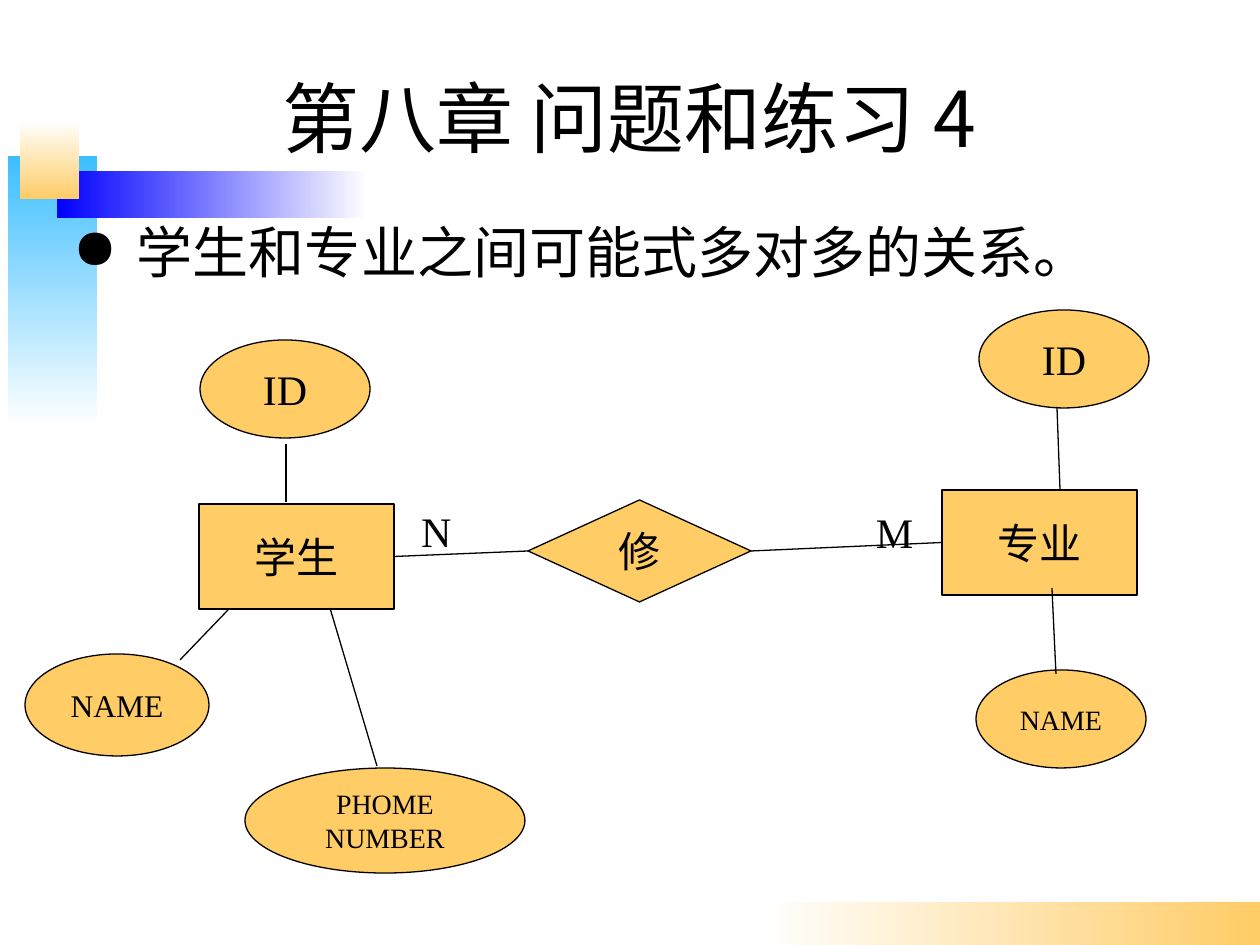
"""Build a slide with an entity-relationship diagram of students and majors."""
from lxml import etree
from pptx import Presentation
from pptx.dml.color import RGBColor
from pptx.enum.shapes import MSO_CONNECTOR, MSO_SHAPE
from pptx.enum.text import MSO_ANCHOR, PP_ALIGN
from pptx.oxml.ns import qn
from pptx.util import Emu, Pt

RECT, OVAL = MSO_SHAPE.RECTANGLE, MSO_SHAPE.OVAL
ENTITY, RELATION = MSO_SHAPE.FLOWCHART_PROCESS, MSO_SHAPE.FLOWCHART_DECISION
STRAIGHT = MSO_CONNECTOR.STRAIGHT
TOP, MIDDLE = MSO_ANCHOR.TOP, MSO_ANCHOR.MIDDLE
LEFT, CENTER = PP_ALIGN.LEFT, PP_ALIGN.CENTER

PX = 914400 / 126
COLORS = {"ink": "000000", "white": "FFFFFF", "gold": "FFCC66", "sky": "3DBEFF", "blue": "0000FF"}
SANS, SERIF = "Noto Sans CJK SC", "Times New Roman"
RIGHTWARD, DOWNWARD = 0, 270
LEFT_SIDE, RIGHT_SIDE = 1, 3

BANDS = [
    ((760, 902, 500, 44), "white", "gold", RIGHTWARD),
    ((8, 156, 89, 270), "sky", "white", DOWNWARD),
    ((57, 171, 311, 47), "blue", "white", RIGHTWARD),
    ((20, 121, 59, 78), "white", "gold", DOWNWARD),
]
TITLE = ("第八章 问题和练习 4", (63, 38, 1133, 158))
BODY = ("学生和专业之间可能式多对多的关系。", (63, 220, 1133, 81))
NODES = {
    "student": (ENTITY, "学生", 24, (199, 504, 195, 105)),
    "major": (ENTITY, "专业", 24, (942, 490, 195, 105)),
    "takes": (RELATION, "修", 24, (528, 500, 223, 102)),
    "student id": (OVAL, "ID", 24, (200, 340, 170, 98)),
    "student name": (OVAL, "NAME", 18, (25, 654, 184, 102)),
    "student phone": (OVAL, "PHOME NUMBER", 16, (245, 768, 280, 105)),
    "major id": (OVAL, "ID", 24, (979, 310, 170, 98)),
    "major name": (OVAL, "NAME", 16, (976, 670, 170, 98)),
}
CARDINALITIES = [("N", (409, 500, 67, 63)), ("M", (864, 501, 68, 63))]
JOINS = [("student", "takes"), ("takes", "major")]
ATTRIBUTE_LINES = [
    (286, 444, 286, 502),
    (180, 660, 228, 610),
    (377, 766, 330, 608),
    (1056, 674, 1052, 588),
    (1057, 407, 1060, 489),
]


def emu(lengths):
    return [Emu(round(n * PX)) for n in lengths]


def rgb(name):
    return RGBColor.from_string(COLORS[name])


def write(sp, text, size, font, align=CENTER, anchor=MIDDLE, inset=(12, 6)):
    tf = sp.text_frame
    dx, dy = emu(inset)
    frame = {"word_wrap": True, "vertical_anchor": anchor, "margin_left": dx,
             "margin_right": dx, "margin_top": dy, "margin_bottom": dy}
    for key, value in frame.items():
        setattr(tf, key, value)
    p = tf.paragraphs[0]
    p.alignment = align
    r = p.add_run()
    r.text = text
    for key, value in {"size": Pt(size), "name": font}.items():
        setattr(r.font, key, value)
    r.font.color.rgb = rgb("ink")
    etree.SubElement(r.font._element, qn("a:ea"), typeface=SANS)
    return p


def add_bullet(p, char, indent):
    pPr = p._p.get_or_add_pPr()
    pPr.set("marL", str(indent))
    pPr.set("indent", str(-indent))
    color = etree.SubElement(pPr, qn("a:buClr"))
    etree.SubElement(color, qn("a:srgbClr"), val=COLORS["ink"])
    etree.SubElement(pPr, qn("a:buChar"), char=char)


def add_band(shapes, box, start, end, angle):
    sp = shapes.add_shape(RECT, *emu(box))
    sp.shadow.inherit = False
    sp.line.fill.background()
    sp.fill.gradient()
    sp.fill.gradient_angle = angle
    for stop, name in zip(sp.fill.gradient_stops, (start, end)):
        stop.color.rgb = rgb(name)


def add_node(shapes, kind, text, size, box):
    sp = shapes.add_shape(kind, *emu(box))
    sp.shadow.inherit = False
    sp.fill.solid()
    sp.fill.fore_color.rgb = rgb("gold")
    sp.line.color.rgb = rgb("ink")
    sp.line.width = Pt(0.75)
    write(sp, text, size, SERIF)
    return sp


def add_line(shapes, ends):
    line = shapes.add_connector(STRAIGHT, *emu(ends))
    line.line.color.rgb = rgb("ink")
    line.line.width = Pt(0.75)
    etree.SubElement(line._element.spPr, qn("a:effectLst"))
    return line


def main():
    prs = Presentation()
    prs.slide_width, prs.slide_height = emu((1260, 945))
    shapes = prs.slides.add_slide(prs.slide_layouts[6]).shapes

    for band in BANDS:
        add_band(shapes, *band)

    text, box = TITLE
    write(shapes.add_textbox(*emu(box)), text, 44, SANS, inset=(10, 5))
    text, box = BODY
    p = write(shapes.add_textbox(*emu(box)), text, 32, SANS, LEFT, TOP, (10, 5))
    p.line_spacing = 0.9
    add_bullet(p, "●", emu([64])[0])

    nodes = {name: add_node(shapes, *node) for name, node in NODES.items()}
    for begin, end in JOINS:
        line = add_line(shapes, (0, 0, 0, 0))
        line.begin_connect(nodes[begin], RIGHT_SIDE)
        line.end_connect(nodes[end], LEFT_SIDE)
    for ends in ATTRIBUTE_LINES:
        add_line(shapes, ends)
    for text, box in CARDINALITIES:
        write(shapes.add_textbox(*emu(box)), text, 24, SERIF, LEFT, TOP)

    prs.save("out.pptx")


if __name__ == "__main__":
    main()
